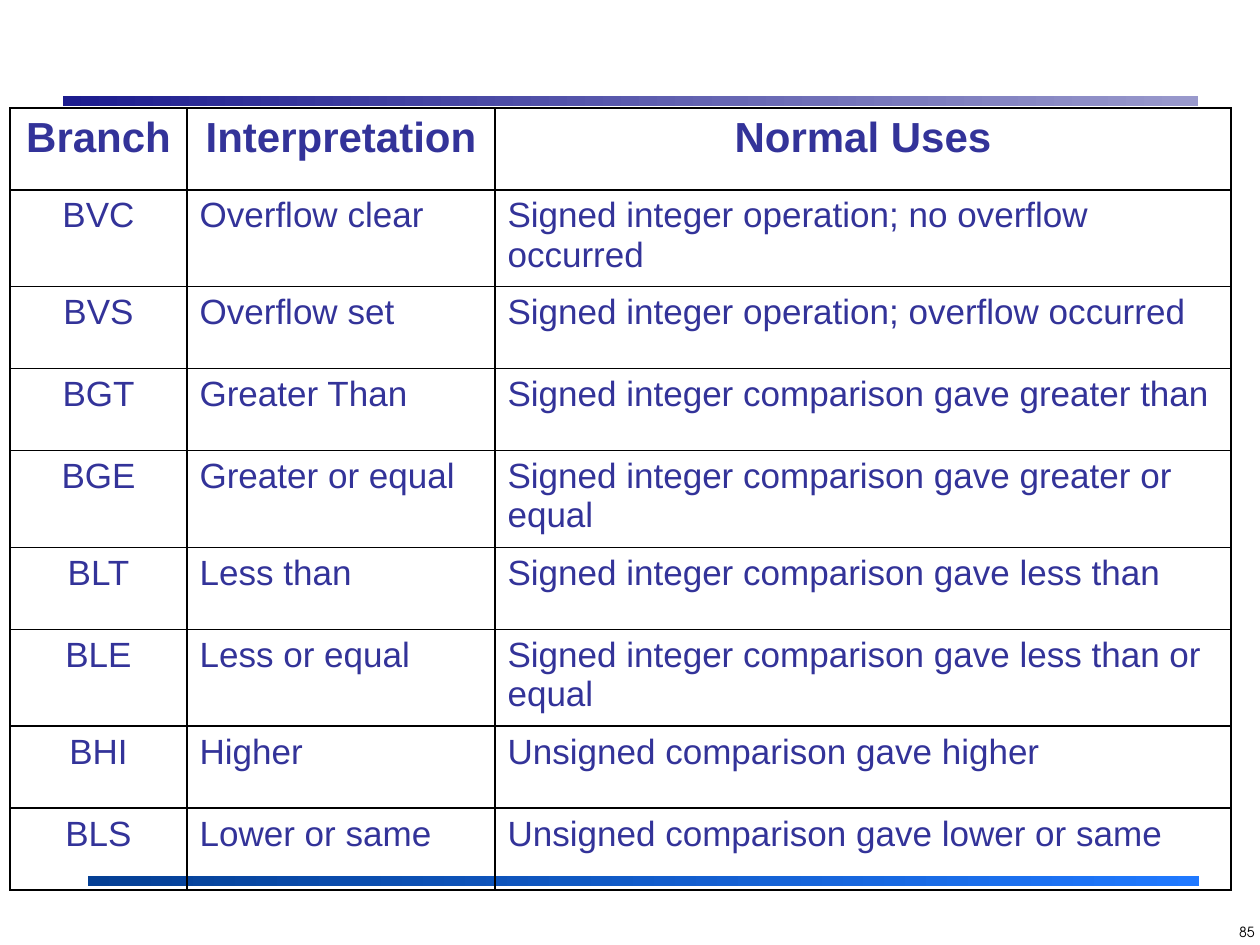
from dataclasses import dataclass

from lxml import etree
from pptx import Presentation
from pptx import util as u
from pptx.dml.color import RGBColor
from pptx.enum import shapes, text
from pptx.oxml.ns import qn

PX = u.Inches(1) / 126


@dataclass(frozen=True)
class Theme:
    ink: str = "333399"
    border: str = "000000"
    page_ink: str = "000000"
    top_bar: tuple = ("1C1C8E", "9999CC")
    bottom_bar: tuple = ("043F94", "2079FF")
    font: str = "Arial"
    page_font: str = "TeX Gyre Adventor"
    head_size: int = 24
    body_size: int = 20
    page_size: int = 8
    border_width: int = 1


THEME = Theme()
COLUMNS = (177, 308, 736)
ROW_HEIGHT = 82
HEADER = ("Branch", "Interpretation", "Normal Uses")
BRANCHES = (
    ("BVC", "Overflow clear", "Signed integer operation; no overflow occurred"),
    ("BVS", "Overflow set", "Signed integer operation; overflow occurred"),
    ("BGT", "Greater Than", "Signed integer comparison gave greater than"),
    ("BGE", "Greater or equal", "Signed integer comparison gave greater or equal"),
    ("BLT", "Less than", "Signed integer comparison gave less than"),
    ("BLE", "Less or equal", "Signed integer comparison gave less than or equal"),
    ("BHI", "Higher", "Unsigned comparison gave higher"),
    ("BLS", "Lower or same", "Unsigned comparison gave lower or same"),
)


def px(n):
    return u.Emu(round(n * PX))


def write(tf, words, size, color, font, align, bold=False):
    p = tf.paragraphs[0]
    p.alignment = align
    r = p.add_run()
    r.text = words
    r.font.name = font
    r.font.size = u.Pt(size)
    r.font.bold = bold
    r.font.color.rgb = RGBColor.from_string(color)


def add_bar(s, box, colors):
    sp = s.shapes.add_shape(shapes.MSO_SHAPE.RECTANGLE, *map(px, box))
    sp.shadow.inherit = False
    sp.line.fill.background()
    sp.fill.gradient()
    sp.fill.gradient_angle = 0
    for stop, color in zip(sp.fill.gradient_stops, colors):
        stop.color.rgb = RGBColor.from_string(color)


def add_borders(cell):
    tc_pr = cell._tc.get_or_add_tcPr()
    for i, side in enumerate(("lnL", "lnR", "lnT", "lnB")):
        ln = etree.Element(qn(f"a:{side}"), w=str(u.Pt(THEME.border_width)))
        fill = etree.SubElement(ln, qn("a:solidFill"))
        etree.SubElement(fill, qn("a:srgbClr"), val=THEME.border)
        tc_pr.insert(i, ln)


def add_branch_table(s, left, top):
    rows = (HEADER, *BRANCHES)
    frame = s.shapes.add_table(len(rows), len(COLUMNS), px(left), px(top),
                               px(sum(COLUMNS)), px(ROW_HEIGHT * len(rows)))
    table = frame.table
    table.first_row = table.horz_banding = False
    for column, width in zip(table.columns, COLUMNS):
        column.width = px(width)
    for i, row in enumerate(rows):
        table.rows[i].height = px(ROW_HEIGHT)
        head = i == 0
        for j, words in enumerate(row):
            cell = table.cell(i, j)
            cell.fill.background()
            add_borders(cell)
            centred = head or j == 0
            write(cell.text_frame, words,
                  THEME.head_size if head else THEME.body_size,
                  THEME.ink, THEME.font,
                  text.PP_ALIGN.CENTER if centred else text.PP_ALIGN.LEFT, head)


def add_page_number(s, box, number):
    tf = s.shapes.add_textbox(*map(px, box)).text_frame
    tf.word_wrap = True
    write(tf, number, THEME.page_size, THEME.page_ink, THEME.page_font,
          text.PP_ALIGN.RIGHT)


def main():
    prs = Presentation()
    prs.slide_width, prs.slide_height = px(1260), px(945)
    s = prs.slides.add_slide(prs.slide_layouts[6])
    add_bar(s, (63, 96, 1135, 10), THEME.top_bar)
    add_bar(s, (88, 876, 1111, 10), THEME.bottom_bar)
    add_page_number(s, (1212, 917, 55, 39), "85")
    add_branch_table(s, 10, 108)
    prs.save("out.pptx")


if __name__ == "__main__":
    main()
